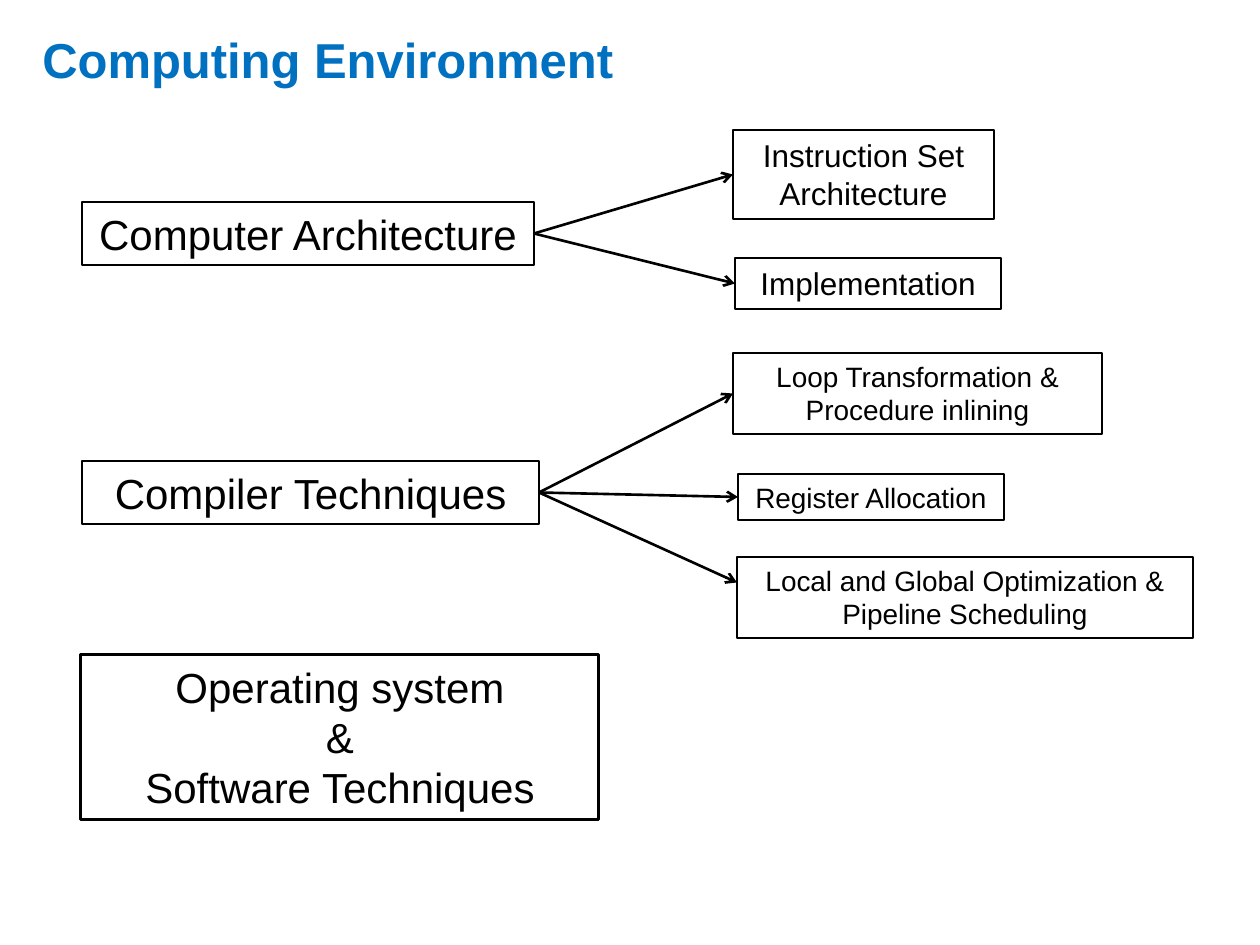
from lxml import etree
from pptx import Presentation, util as u
from pptx.dml.color import RGBColor
from pptx.enum import shapes, text
from pptx.oxml.ns import qn

SCALE = 914400 / 126


def px(length):
    return u.Emu(round(length * SCALE))


def color(hex_code):
    return RGBColor.from_string(hex_code)


class Diagram:
    """Draws outlined topic boxes and arrows on one slide in a single style."""

    font = "Arial"
    ink = "000000"
    accent = "0070C0"

    def __init__(self, slide):
        self.slide = slide

    def label(self, paragraph, words, size, hue, bold=False):
        run = paragraph.add_run()
        run.text = words
        run.font.name = self.font
        run.font.size = u.Pt(size)
        run.font.bold = bold
        run.font.color.rgb = color(hue)

    def title(self, words, left, top, width, height):
        heading = self.slide.shapes.add_textbox(*map(px, (left, top, width, height)))
        frame = heading.text_frame
        frame.word_wrap = True
        frame.vertical_anchor = text.MSO_ANCHOR.MIDDLE
        self.label(frame.paragraphs[0], words, 28, self.accent, bold=True)

    def box(self, lines, size, left, top, width, height, weight=1.5):
        topic = self.slide.shapes.add_shape(
            shapes.MSO_SHAPE.RECTANGLE, *map(px, (left, top, width, height)))
        topic.shadow.inherit = False
        topic.fill.background()
        topic.line.color.rgb = color(self.ink)
        topic.line.width = u.Pt(weight)
        frame = topic.text_frame
        frame.word_wrap = True
        frame.vertical_anchor = text.MSO_ANCHOR.TOP
        for index, words in enumerate(lines):
            paragraph = frame.add_paragraph() if index else frame.paragraphs[0]
            paragraph.alignment = text.PP_ALIGN.CENTER
            self.label(paragraph, words, size, self.ink)
        return topic

    def arrow(self, parent, child, lift=0):
        link = self.slide.shapes.add_connector(
            shapes.MSO_CONNECTOR.STRAIGHT,
            parent.left + parent.width, parent.top + parent.height // 2,
            child.left, child.top + child.height // 2 - px(lift))
        link.line.color.rgb = color(self.ink)
        link.line.width = u.Pt(1.5)
        properties = link._element.spPr
        etree.SubElement(properties.find(qn("a:ln")), qn("a:tailEnd"), type="arrow")
        etree.SubElement(properties, qn("a:effectLst"))


def main():
    deck = Presentation()
    deck.slide_width, deck.slide_height = u.Inches(10), u.Inches(7.5)
    diagram = Diagram(deck.slides.add_slide(deck.slide_layouts[6]))
    diagram.title("Computing Environment", 30, 1, 1210, 116)

    architecture = diagram.box(["Computer Architecture"], 24, 82, 202, 452, 63)
    compiler = diagram.box(["Compiler Techniques"], 24, 82, 461, 457, 63)
    diagram.box(["Operating system", "&", "Software Techniques"],
                24, 81, 655, 518, 165, weight=1.75)

    instruction_set = diagram.box(["Instruction Set Architecture"], 18, 733, 130, 261, 89)
    implementation = diagram.box(["Implementation"], 18, 735, 258, 266, 51)
    loops = diagram.box(["Loop Transformation &", "Procedure inlining"],
                        16, 733, 353, 369, 81)
    registers = diagram.box(["Register Allocation"], 16, 738, 474, 266, 46)
    optimization = diagram.box(["Local and Global Optimization &", "Pipeline Scheduling"],
                               16, 737, 557, 456, 81)

    for child in (instruction_set, implementation):
        diagram.arrow(architecture, child)
    for child, lift in ((loops, 0), (registers, 0), (optimization, 15)):
        diagram.arrow(compiler, child, lift)

    deck.save("out.pptx")


if __name__ == "__main__":
    main()
